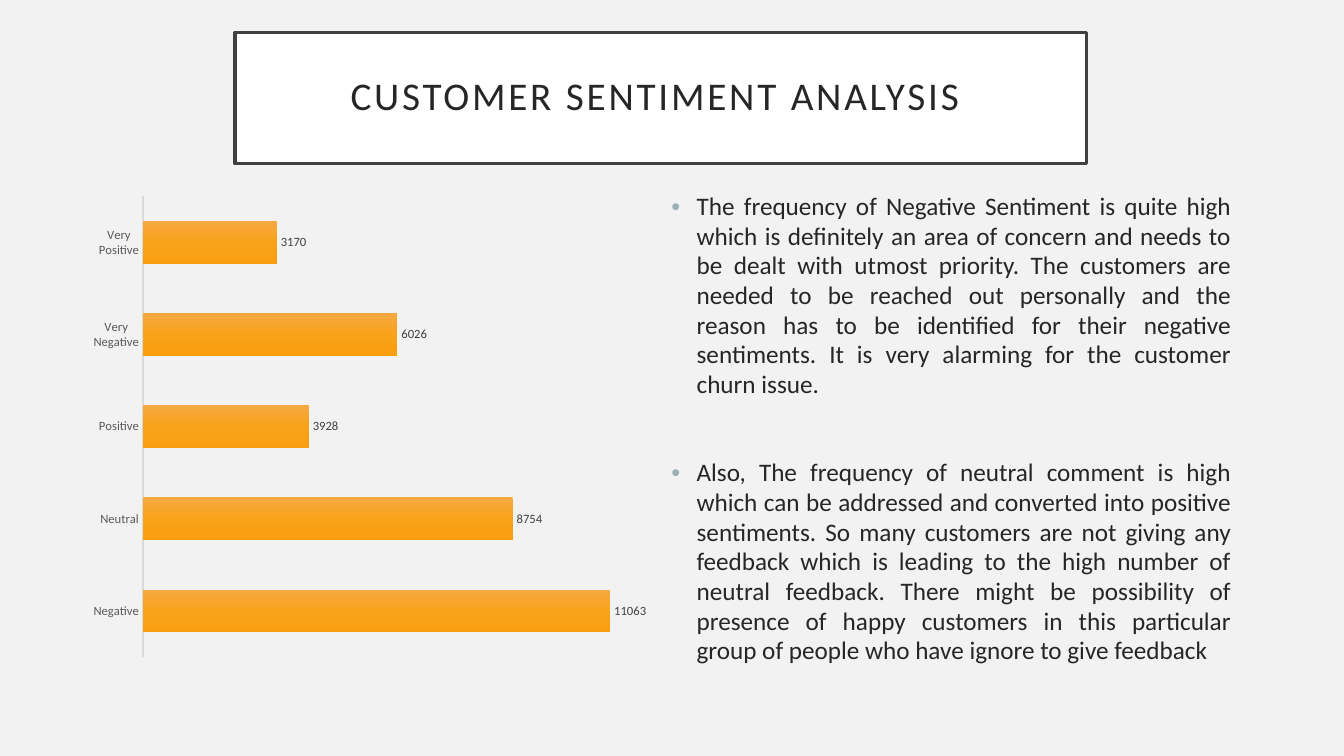
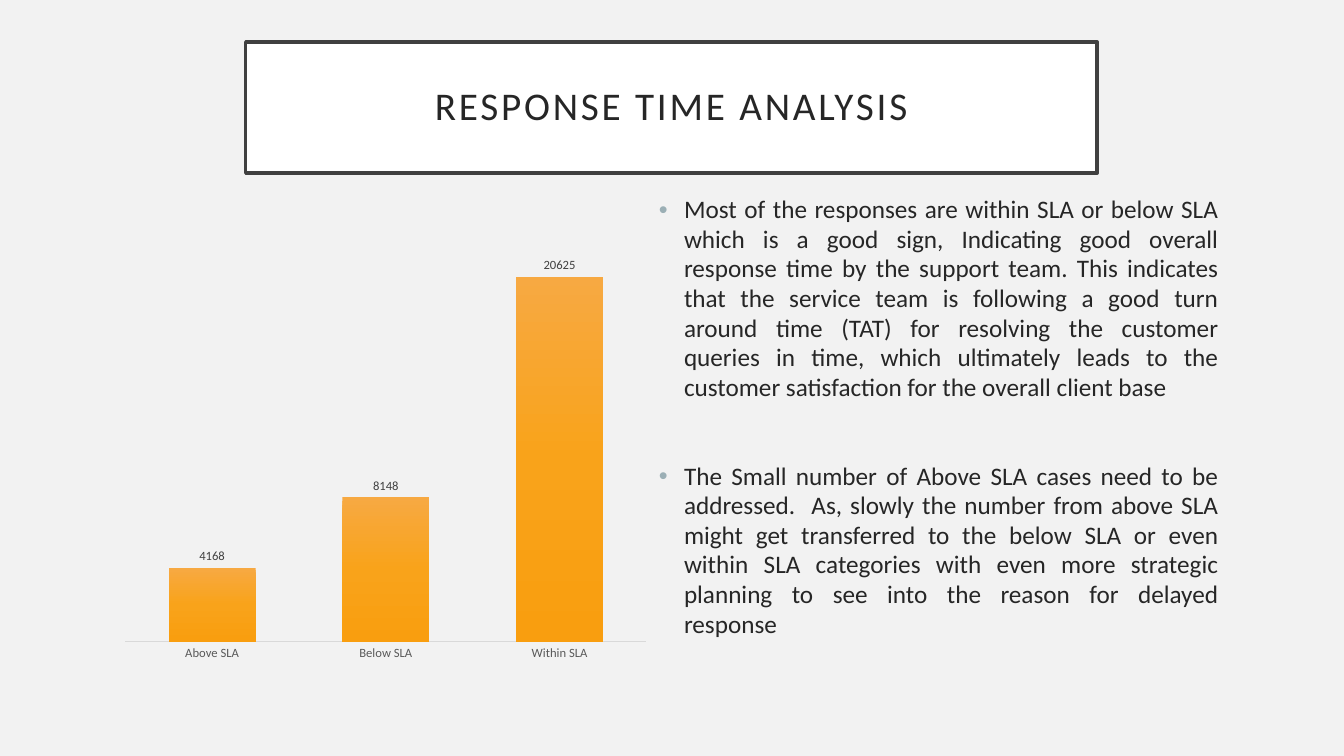
import pptx
import pptx.chart.data
import pptx.dml.color
import pptx.enum.chart
import pptx.enum.shapes
import pptx.enum.text
import pptx.oxml
import pptx.oxml.ns
import pptx.util
from lxml import etree

RGBColor = pptx.dml.color.RGBColor
ChartType = pptx.enum.chart.XL_CHART_TYPE
Align = pptx.enum.text.PP_ALIGN

SLIDES = [
    {
        "title": "CUSTOMER SENTIMENT ANALYSIS ",
        "title_at": (224, 31),
        "bullets_at": (630, 178),
        "bullets": [
            "The frequency of Negative Sentiment is quite high which is definitely an area of concern "
            "and needs to be dealt with utmost priority. The customers are needed to be reached out "
            "personally and the reason has to be identified for their negative sentiments. It is very "
            "alarming for the customer churn issue.",
            "Also, The frequency of neutral comment is high which can be addressed and converted into "
            "positive sentiments. So many customers are not giving any feedback which is leading to the "
            "high number of neutral feedback. There might be possibility of presence of happy customers "
            "in this particular group of people who have ignore to give feedback",
        ],
        "chart_box": (78, 178, 552, 457),
        "chart_type": ChartType.BAR_CLUSTERED,
        "values": {"Negative": 11063, "Neutral": 8754, "Positive": 3928,
                   "Very Negative": 6026, "Very Positive": 3170},
        "axis_max": 12000,
        "gap": 115,
        "overlap": -20,
    },
    {
        "title": "RESPONSE TIME ANALYSIS",
        "title_at": (234, 40),
        "bullets_at": (618, 181),
        "bullets": [
            "Most of the responses are within SLA or below SLA which is a good sign, Indicating good "
            "overall response time by the support team. This indicates that the service team is "
            "following a good turn around time (TAT) for resolving the customer queries in time, which "
            "ultimately leads to the customer satisfaction for the overall client base",
            "The Small number of Above SLA cases need to be addressed.  As, slowly the number from above "
            "SLA might get transferred to the below SLA or even within SLA categories with even more "
            "strategic planning to see into the reason for delayed response",
        ],
        "chart_box": (109, 181, 517, 457),
        "chart_type": ChartType.COLUMN_CLUSTERED,
        "values": {"Above SLA": 4168, "Below SLA": 8148, "Within SLA": 20625},
        "axis_max": 25000,
        "gap": 100,
        "overlap": -24,
    },
]

FONT = "Calibri"
BACKGROUND = RGBColor(0xF2, 0xF2, 0xF2)
WHITE = RGBColor(0xFF, 0xFF, 0xFF)
FRAME = RGBColor(0x40, 0x40, 0x40)
INK = RGBColor(0x26, 0x26, 0x26)
AXIS_TEXT = RGBColor(0x59, 0x59, 0x59)
AXIS_LINE = RGBColor(0xD9, 0xD9, 0xD9)
BULLET = RGBColor(0x9B, 0xAF, 0xB5)
BAR_GRADIENT = [
    (0, RGBColor(0xF7, 0xA9, 0x42)),
    (50, RGBColor(0xF9, 0xA3, 0x1A)),
    (100, RGBColor(0xF9, 0x9E, 0x0F)),
]

SLIDE_SIZE = (1280, 720)
TITLE_SIZE = (811, 125)
BULLETS_SIZE = (552, 457)
TITLE_INSET = 19
BULLET_INDENT = 24


def px(length):
    return pptx.util.Emu(length * 9525)


def style_font(font, size, color):
    font.name = FONT
    font.size = pptx.util.Pt(size)
    font.color.rgb = color


def add_child(parent, tag, **attributes):
    return etree.SubElement(parent, pptx.oxml.ns.qn(tag), attributes)


def add_title(slide, text, position):
    shape = slide.shapes.add_shape(
        pptx.enum.shapes.MSO_SHAPE.RECTANGLE, *map(px, position + TITLE_SIZE))
    shape.shadow.inherit = False
    shape.fill.solid()
    shape.fill.fore_color.rgb = WHITE
    shape.line.color.rgb = FRAME
    shape.line.width = pptx.util.Pt(2.5)
    frame = shape.text_frame
    frame.word_wrap = True
    frame.vertical_anchor = pptx.enum.text.MSO_ANCHOR.MIDDLE
    frame.margin_left = frame.margin_right = px(TITLE_INSET)
    frame.margin_top = frame.margin_bottom = px(TITLE_INSET)
    frame.text = text
    paragraph = frame.paragraphs[0]
    paragraph.alignment = Align.CENTER
    paragraph.line_spacing = 0.9
    font = paragraph.runs[0].font
    style_font(font, 28, INK)
    font._element.set("spc", "200")


def add_bullets(slide, texts, position):
    box = slide.shapes.add_textbox(*map(px, position + BULLETS_SIZE))
    frame = box.text_frame
    frame.word_wrap = True
    frame.text = "\n".join(texts)
    for index, paragraph in enumerate(frame.paragraphs):
        paragraph.alignment = Align.JUSTIFY
        paragraph.line_spacing = 0.98
        paragraph.space_before = pptx.util.Pt(42 if index else 10)
        style_font(paragraph.runs[0].font, 18, INK)
        properties = paragraph._p.get_or_add_pPr()
        properties.set("marL", str(px(BULLET_INDENT)))
        properties.set("indent", str(-px(BULLET_INDENT)))
        color = add_child(properties, "a:buClr")
        add_child(color, "a:srgbClr", val=str(BULLET))
        add_child(properties, "a:buFont", typeface="Arial")
        add_child(properties, "a:buChar", char="•")


def fill_gradient(series):
    properties = series._element.get_or_add_spPr()
    gradient = add_child(properties, "a:gradFill", rotWithShape="1")
    stops = add_child(gradient, "a:gsLst")
    for percent, color in BAR_GRADIENT:
        stop = add_child(stops, "a:gs", pos=str(percent * 1000))
        add_child(stop, "a:srgbClr", val=str(color))
    add_child(gradient, "a:lin", ang=str(90 * 60000), scaled="0")


def add_bar_chart(slide, content):
    data = pptx.chart.data.CategoryChartData()
    data.categories = list(content["values"])
    data.add_series("Series 1", list(content["values"].values()))
    chart = slide.shapes.add_chart(
        content["chart_type"], *map(px, content["chart_box"]), data).chart
    chart.has_title = False
    chart.has_legend = False
    chart.font.name = FONT
    chart.font.size = pptx.util.Pt(10)

    category_axis = chart.category_axis
    category_axis.major_tick_mark = pptx.enum.chart.XL_TICK_MARK.NONE
    category_axis.format.line.color.rgb = AXIS_LINE
    category_axis.format.line.width = pptx.util.Pt(1)
    style_font(category_axis.tick_labels.font, 9, AXIS_TEXT)

    value_axis = chart.value_axis
    value_axis.visible = False
    value_axis.has_major_gridlines = False
    value_axis.minimum_scale = 0
    value_axis.maximum_scale = content["axis_max"]

    plot = chart.plots[0]
    plot.vary_by_categories = False
    plot.gap_width = content["gap"]
    plot.overlap = content["overlap"]
    fill_gradient(plot.series[0])
    plot.has_data_labels = True
    labels = plot.data_labels
    labels.show_value = True
    labels.position = pptx.enum.chart.XL_LABEL_POSITION.OUTSIDE_END
    style_font(labels.font, 9, FRAME)


def main():
    presentation = pptx.Presentation()
    presentation.slide_width, presentation.slide_height = map(px, SLIDE_SIZE)
    master_fill = presentation.slide_master.background.fill
    master_fill.solid()
    master_fill.fore_color.rgb = BACKGROUND
    blank_layout = presentation.slide_layouts[6]
    for content in SLIDES:
        slide = presentation.slides.add_slide(blank_layout)
        add_title(slide, content["title"], content["title_at"])
        add_bullets(slide, content["bullets"], content["bullets_at"])
        add_bar_chart(slide, content)
    presentation.save("out.pptx")


if __name__ == "__main__":
    main()
